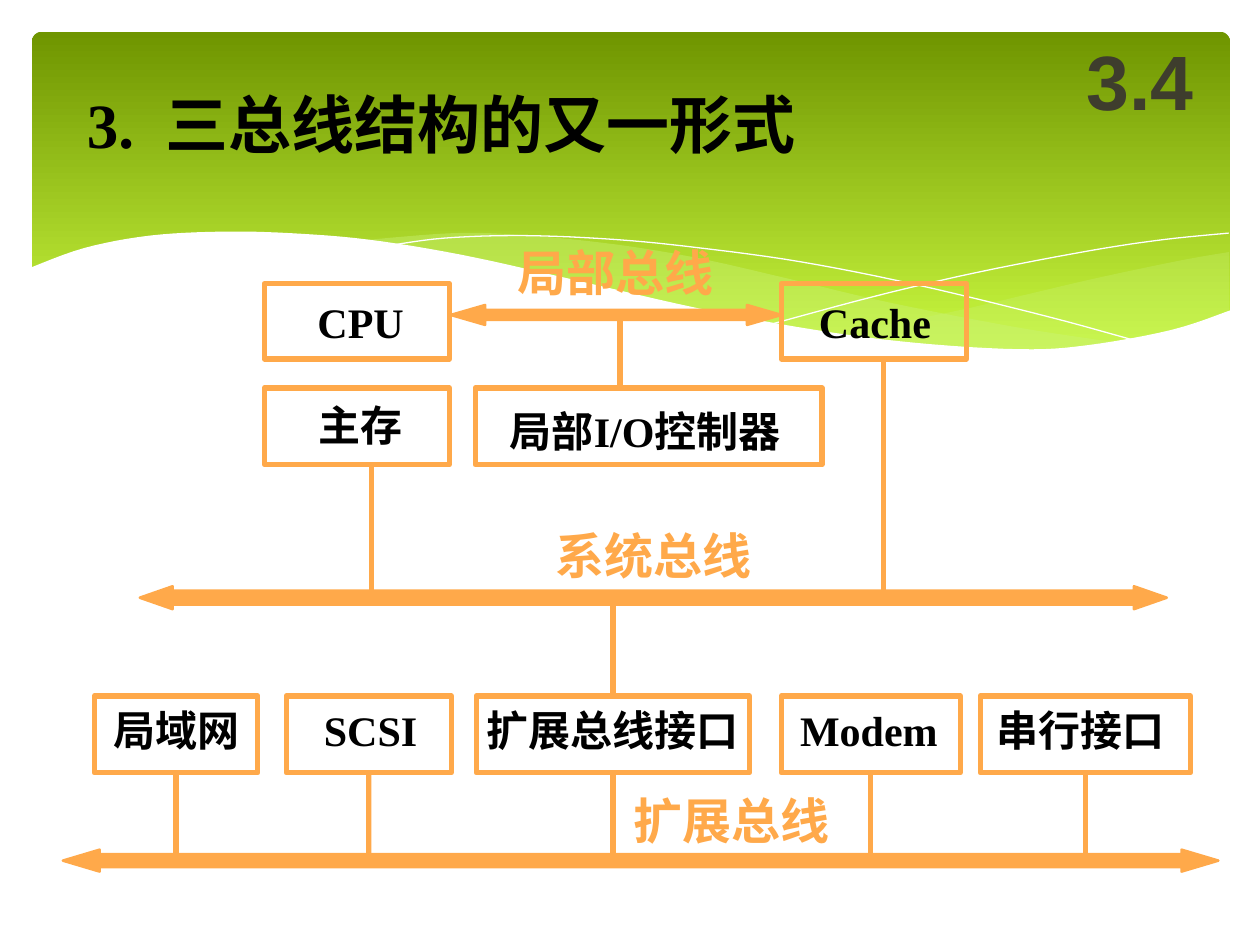
import dataclasses

import pptx
import pptx.dml.color
import pptx.enum.dml
import pptx.enum.shapes
import pptx.enum.text
import pptx.oxml.ns
import pptx.slide
import pptx.util
from lxml import etree

Cm, Pt = pptx.util.Cm, pptx.util.Pt
RGB = pptx.dml.color.RGBColor
qn = pptx.oxml.ns.qn
KIND = pptx.enum.shapes.MSO_SHAPE
ALIGN = pptx.enum.text.PP_ALIGN
ANCHOR = pptx.enum.text.MSO_ANCHOR

ORANGE = RGB(0xFF, 0xA9, 0x4A)
BLACK = RGB(0, 0, 0)
WHITE = RGB(0xFF, 0xFF, 0xFF)
GRAY = RGB(0x3E, 0x3D, 0x2D)
OLIVE = RGB(0x6F, 0x95, 0x00)
LIME = RGB(0xD0, 0xFF, 0x44)
PALE = RGB(0xCA, 0xF2, 0x78)
ROMAN, HAN = "Times New Roman", "Noto Sans CJK SC"


def smooth(knots, steps=6):
    """Points of a Catmull-Rom curve through the knots."""
    ends = [knots[0], *knots, knots[-1]]
    dots = [knots[0]]
    for a, b, c, d in zip(ends, ends[1:], ends[2:], ends[3:]):
        for n in range(1, steps + 1):
            t = n / steps
            dots.append(tuple(
                q + t * ((r - p) + t * ((2 * p - 5 * q + 4 * r - s)
                                        + t * (3 * q - p - 3 * r + s))) / 2
                for p, q, r, s in zip(a, b, c, d)))
    return dots


@dataclasses.dataclass
class Board:
    slide: pptx.slide.Slide
    color: RGB = ORANGE
    width: float = 3

    def shape(self, kind, x, y, w, h):
        item = self.slide.shapes.add_shape(kind, Cm(x), Cm(y), Cm(w), Cm(h))
        item.shadow.inherit = False
        return item

    def band(self, x, y, w, h):
        item = self.shape(KIND.ROUNDED_RECTANGLE, x, y, w, h)
        item.adjustments[0] = 0.03
        item.fill.gradient()
        item.fill.gradient_angle = 270
        for stop, tone in zip(item.fill.gradient_stops, (OLIVE, LIME)):
            stop.color.rgb = tone
        item.line.fill.background()

    def box(self, x, y, w, h):
        item = self.shape(KIND.RECTANGLE, x, y, w, h)
        item.fill.background()
        item.line.color.rgb = self.color
        item.line.width = Pt(self.width)
        return item

    def free(self, dots, fill=None, line=None, width=0, alpha=None):
        dots = [(Cm(x), Cm(y)) for x, y in dots]
        maker = self.slide.shapes.build_freeform(*dots[0], scale=1.0)
        maker.add_line_segments(dots[1:], close=fill is not None)
        item = maker.convert_to_shape()
        item.shadow.inherit = False
        for part, tone in ((item.fill, fill), (item.line.fill, line)):
            if tone is None:
                part.background()
            else:
                part.solid()
                part.fore_color.rgb = tone
        if line is not None:
            item.line.width = Pt(width)
        if alpha is not None:
            tone = item.fill._xPr.find(qn("a:solidFill"))[0]
            etree.SubElement(tone, qn("a:alpha")).set("val", str(alpha * 1000))

    def bus(self, x, y, end, tip, head, body):
        half = [(x, y), (x + tip, y + head), (x + tip, y + body),
                (end - tip, y + body), (end - tip, y + head), (end, y)]
        back = [(a, 2 * y - b) for a, b in half[-2:0:-1]]
        self.free(half + back, self.color, self.color, 1.5)

    def wire(self, x, top, end, start=None, site=2):
        item = self.slide.shapes.add_connector(
            pptx.enum.shapes.MSO_CONNECTOR.STRAIGHT,
            Cm(x), Cm(top), Cm(x), Cm(end))
        if start is not None:
            item.begin_connect(start, site)
        item.line.color.rgb = self.color
        item.line.width = Pt(self.width)
        etree.SubElement(item._element.spPr, qn("a:effectLst"))

    def text(self, words, x, y, w, h, size=24, face=HAN, color=BLACK,
             pad=(0, 0), align=ALIGN.LEFT, anchor=ANCHOR.TOP, tab=None):
        item = self.slide.shapes.add_textbox(Cm(x), Cm(y), Cm(w), Cm(h))
        frame = item.text_frame
        look = {"word_wrap": True, "vertical_anchor": anchor,
                "margin_left": Cm(pad[0]), "margin_right": Cm(pad[0]),
                "margin_top": Cm(pad[1]), "margin_bottom": Cm(pad[1])}
        for key, val in look.items():
            setattr(frame, key, val)
        para = frame.paragraphs[0]
        para.alignment = align
        if tab is not None:
            stops = etree.SubElement(para._p.get_or_add_pPr(), qn("a:tabLst"))
            stop = etree.SubElement(stops, qn("a:tab"))
            stop.set("pos", str(int(Cm(tab))))
            stop.set("algn", "l")
        run = para.add_run()
        run.text = words
        for key, val in {"size": Pt(size), "bold": True, "name": face}.items():
            setattr(run.font, key, val)
        run.font.color.rgb = color
        east = etree.SubElement(run._r.get_or_add_rPr(), qn("a:ea"))
        east.set("typeface", HAN)


def main():
    deck = pptx.Presentation()
    deck.slide_width, deck.slide_height = Cm(25.4), Cm(19.05)
    board = Board(deck.slides.add_slide(deck.slide_layouts[6]))

    # Green band with waves
    board.band(0.64, 0.64, 24.16, 6.86)
    board.free(
        smooth([(24.78, 5.08), (23.75, 5.26), (21.87, 5.66), (19.13, 6.3),
                (16.79, 6.73)])
        + smooth([(16.79, 6.73), (17.91, 6.88), (19.53, 7.04), (20.68, 7.06),
                  (22.15, 6.96), (23.39, 6.73), (24.78, 6.27)]),
        PALE, alpha=29)
    board.free(
        smooth([(22.68, 6.93), (20.5, 6.6), (17.93, 6.1), (15.98, 5.64),
                (14.1, 5.21), (12.42, 4.93), (10.67, 4.75), (9.17, 4.7),
                (7.26, 4.85)])
        + smooth([(7.26, 4.85), (9.19, 5.16), (11.4, 5.64), (14.38, 6.3),
                  (16.89, 6.76), (18.69, 6.99), (20.5, 7.09), (21.54, 7.06),
                  (22.68, 6.93)]),
        PALE, alpha=40)
    for knots in (
            [(7.85, 4.95), (8.97, 4.8), (10.57, 4.75), (12.42, 4.83),
             (14.12, 5), (16.15, 5.28), (18.47, 5.74), (21.11, 6.38),
             (23.04, 6.91)],
            [(15.57, 6.53), (17.65, 5.97), (19.71, 5.49), (22, 5.05),
             (23.47, 4.83), (24.77, 4.7)]):
        board.free(smooth(knots), line=WHITE)
    board.free(
        smooth([(24.82, 6.25), (23.62, 6.65), (21.92, 6.96), (20.55, 7.04),
                (18.44, 6.91), (16.43, 6.65), (14.1, 6.22), (11.35, 5.59),
                (9.27, 5.13), (7.42, 4.83), (5.84, 4.7), (4.47, 4.67),
                (3.02, 4.75), (1.7, 5), (0.58, 5.41)])
        + [(0.58, 8.36), (24.82, 8.36)], WHITE)

    # Title and section number
    board.text("3.\t三总线结构的又一形式", 1.5, 1.6, 15.2, 1.78, 36, ROMAN,
               pad=(0.25, 0.13), tab=1.59)
    board.text("3.4", 21.39, 0.43, 3.18, 2.34, 44, "Arial", GRAY,
               (0.25, 0.13), ALIGN.CENTER, ANCHOR.MIDDLE)

    # Buses and their names
    board.bus(9.09, 6.35, 15.75, 0.69, 0.2, 0.1)
    board.bus(2.82, 12.05, 23.52, 0.66, 0.23, 0.14)
    board.bus(1.27, 17.35, 24.56, 0.74, 0.22, 0.13)
    for name, x, y in (("局部总线", 10.44, 4.88), ("系统总线", 11.2, 10.59),
                       ("扩展总线", 12.78, 15.93)):
        board.text(name, x, y, 4.1, 1.19, 28, color=ORANGE)

    # Upper units: box, then label
    for name, x, y, w, h, left, top, face, pad in (
            ("CPU", 5.33, 5.72, 3.73, 1.52, 6.4, 5.97, ROMAN, (0, 0)),
            ("Cache", 15.75, 5.72, 3.73, 1.52, 16.51, 5.97, ROMAN, (0, 0)),
            ("主存", 5.33, 7.82, 3.73, 1.55, 6.43, 8.05, HAN, (0, 0)),
            ("局部I/O控制器", 9.58, 7.82, 6.99, 1.55, 10.03, 8.05, ROMAN,
             (0.25, 0.13))):
        board.box(x, y, w, h)
        board.text(name, left, top, w, 1.02, face=face, pad=pad)
    for x, top, end in ((7.49, 9.35, 12.05), (17.81, 7.24, 12.05),
                        (12.5, 6.35, 7.82)):
        board.wire(x, top, end)

    # Lower units, each wired down to the expansion bus
    for name, x, w, left, face in (
            ("局域网", 1.9, 3.3, 2.29, HAN),
            ("SCSI", 5.77, 3.33, 6.53, ROMAN),
            ("扩展总线接口", 9.6, 5.51, 9.8, HAN),
            ("Modem", 15.75, 3.61, 16.13, ROMAN),
            ("串行接口", 19.76, 4.24, 20.09, HAN)):
        unit = board.box(x, 14.03, w, 1.55)
        board.text(name, left, 14.2, w, 1.02, face=face)
        board.wire(x + w / 2, 15.58, 17.35, unit)
        if name == "扩展总线接口":
            board.wire(x + w / 2, 14.03, 12.05, unit, 0)

    deck.save("out.pptx")


if __name__ == "__main__":
    main()
